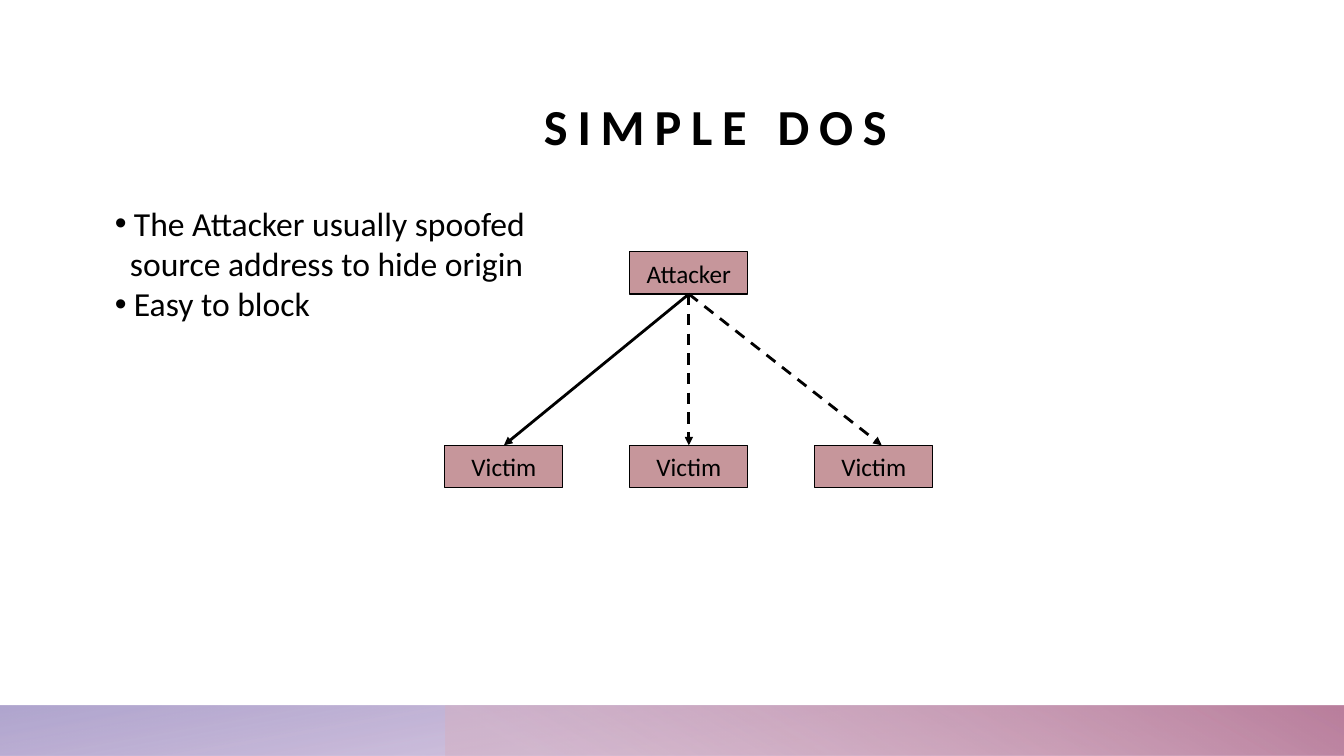
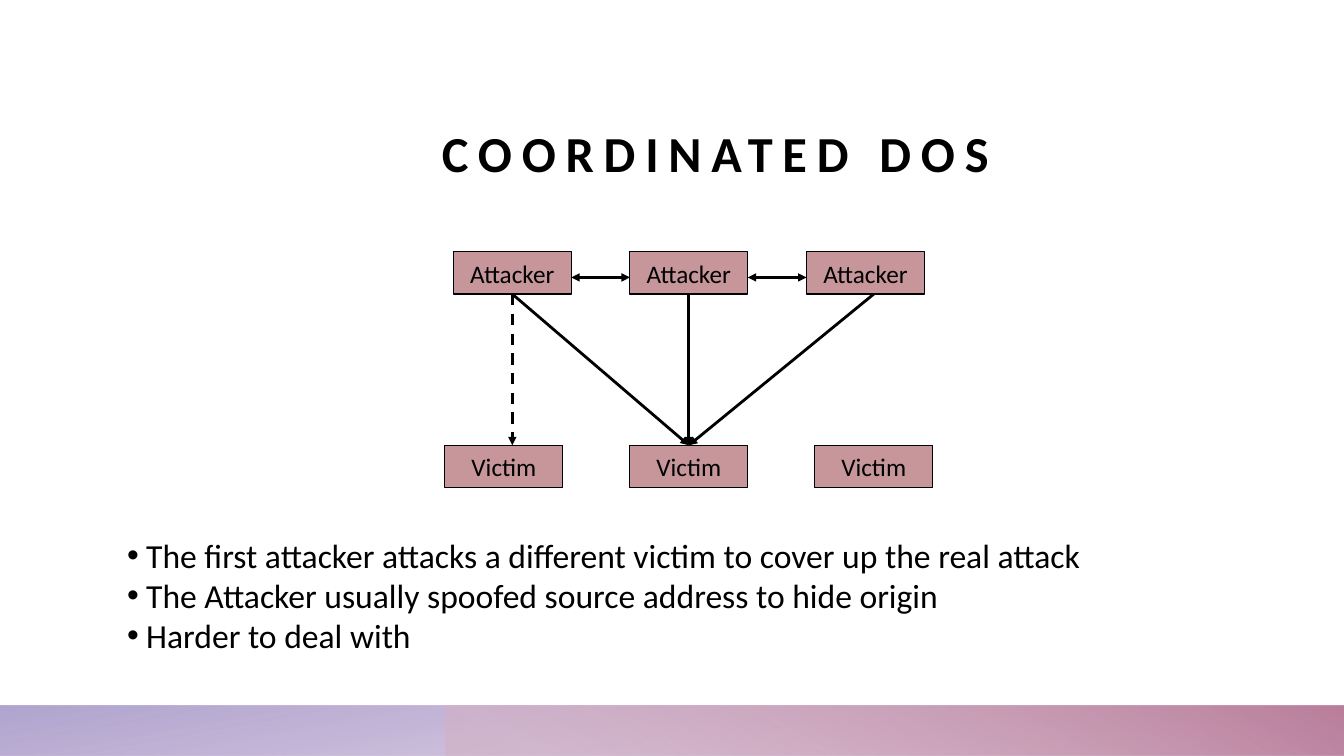
from dataclasses import dataclass
from typing import NamedTuple

from lxml.etree import SubElement
from pptx import Presentation
from pptx.dml.color import RGBColor as Rgb
from pptx.enum.dml import MSO_LINE as Dash
from pptx.enum.shapes import MSO_CONNECTOR as Link, MSO_SHAPE as Form
from pptx.enum.text import MSO_ANCHOR as Anchor, MSO_AUTO_SIZE as Fit, PP_ALIGN as Align
from pptx.oxml.ns import qn
from pptx.util import Cm, Pt


@dataclass(frozen=True)
class Theme:
    font: str = "Calibri"
    ink: str = "000000"
    node: str = "C6969B"
    head: int = 36
    body: int = 24
    label: int = 18
    track: int = 700
    edge: float = 0.75
    stroke: float = 2


class Area(NamedTuple):
    left: float
    top: float
    width: float
    height: float


class Stop(NamedTuple):
    pos: int
    color: str
    alpha: int


class Band(NamedTuple):
    area: Area
    stops: tuple[Stop, ...]
    angle: int
    turn: int = 0


class Line(NamedTuple):
    text: str
    bullet: bool = True
    inset: float = 0.48


class Arrow(NamedTuple):
    start: tuple[float, float]
    end: tuple[float, float]
    dashed: bool = False
    double: bool = False


class Page(NamedTuple):
    title: str
    depth: float
    crew: tuple[float, ...]
    arrows: tuple[Arrow, ...]
    list_area: Area
    lines: tuple[Line, ...]


THEME = Theme()
WIDTH, HEIGHT = 33.87, 19.05
NODE_W, NODE_H = 2.97, 1.06
MID = 17.36
TOP, LOW = 6.35, 11.22
BASE = TOP + NODE_H
CREW = tuple(MID + 4.45 * i for i in (-1, 0, 1))
PREY = tuple(MID + 4.66 * i for i in (-1, 0, 1))
LINK_Y = 6.99

BANDS = (
    Band(Area(0, 17.78, WIDTH, 1.27),
         (Stop(14, "A67FBA", 28), Stop(100, "A296C6", 85)), 100, 180),
    Band(Area(11.22, 17.78, WIDTH - 11.22, 1.27),
         (Stop(9, "D6B2C4", 55), Stop(99, "BA7F9D", 100)), 240),
)

PAGES = (
    Page(
        "SIMPLE DOS", 1.7, (MID,),
        (Arrow((MID, BASE), (PREY[0], LOW)),
         Arrow((MID, BASE), (MID, LOW), dashed=True),
         Arrow((MID, BASE), (22.22, LOW), dashed=True)),
        Area(2.64, 4.98, 12.37, 3.33),
        (Line("The Attacker usually spoofed"),
         Line("source address to hide origin", False, 0.38),
         Line("Easy to block")),
    ),
    Page(
        "COORDINATED DOS", 2.39, CREW,
        (Arrow((MID, BASE), (MID, LOW)),
         *(Arrow((a + NODE_W / 2, LINK_Y), (b - NODE_W / 2, LINK_Y), double=True)
           for a, b in zip(CREW, CREW[1:])),
         Arrow((CREW[0], BASE), (MID, LOW)),
         Arrow((PREY[2], BASE), (MID, LOW)),
         Arrow((CREW[0], BASE), (CREW[0], LOW), dashed=True)),
        Area(2.95, 13.34, 29.77, 3.33),
        (Line("The first attacker attacks a different victim to cover up the real attack"),
         Line("The Attacker usually spoofed source address to hide origin"),
         Line("Harder to deal with")),
    ),
)


def place(shape, area: Area) -> None:
    shape.left, shape.top, shape.width, shape.height = map(Cm, area)


def mark(para, line: Line) -> None:
    props = para._p.get_or_add_pPr()
    inset = Cm(line.inset)
    props.set("marL", str(inset))
    props.set("indent", str(-inset if line.bullet else 0))
    if line.bullet:
        SubElement(props, qn("a:buFont"), typeface="Arial")
        SubElement(props, qn("a:buChar"), char="•")
    else:
        SubElement(props, qn("a:buNone"))


def write(frame, lines: tuple[Line, ...], *, size: int, bold: bool = False,
          align=Align.CENTER, anchor=Anchor.MIDDLE, wrap: bool = True,
          track: int = 0, listed: bool = False) -> None:
    frame.auto_size = Fit.NONE
    frame.word_wrap = wrap
    frame.vertical_anchor = anchor
    for i, line in enumerate(lines):
        para = frame.add_paragraph() if i else frame.paragraphs[0]
        para.alignment = align
        para.space_before = Pt(0)
        if listed:
            mark(para, line)
        run = para.add_run()
        run.text = line.text
        font = run.font
        font.name, font.size, font.bold = THEME.font, Pt(size), bold
        font.color.rgb = Rgb.from_string(THEME.ink)
        if track:
            run._r.get_or_add_rPr().set("spc", str(track))


def add_band(slide, band: Band):
    shape = slide.shapes.add_shape(Form.RECTANGLE, *map(Cm, band.area))
    shape.shadow.inherit = False
    shape.line.fill.background()
    shape.rotation = band.turn
    props = shape._element.spPr
    props.find(qn("a:xfrm")).set("flipH", "1")
    fill = SubElement(props, qn("a:gradFill"), rotWithShape="1")
    props.find(qn("a:prstGeom")).addnext(fill)
    stops = SubElement(fill, qn("a:gsLst"))
    for stop in band.stops:
        node = SubElement(stops, qn("a:gs"), pos=str(stop.pos * 1000))
        color = SubElement(node, qn("a:srgbClr"), val=stop.color)
        SubElement(color, qn("a:alpha"), val=str(stop.alpha * 1000))
    SubElement(fill, qn("a:lin"), ang=str(band.angle * 60000), scaled="0")
    return shape


def share_bands(slide) -> None:
    tree = slide.slide_layout.shapes.element
    for i, band in enumerate(BANDS):
        tree.insert(2 + i, add_band(slide, band)._element)


def add_node(slide, text: str, mid: float, top: float) -> None:
    area = Area(mid - NODE_W / 2, top, NODE_W, NODE_H)
    shape = slide.shapes.add_shape(Form.RECTANGLE, *map(Cm, area))
    shape.shadow.inherit = False
    shape.fill.solid()
    shape.fill.fore_color.rgb = Rgb.from_string(THEME.node)
    shape.line.color.rgb = Rgb.from_string(THEME.ink)
    shape.line.width = Pt(THEME.edge)
    write(shape.text_frame, (Line(text),), size=THEME.label, wrap=False)


def add_arrow(slide, arrow: Arrow) -> None:
    link = slide.shapes.add_connector(
        Link.STRAIGHT, *map(Cm, (*arrow.start, *arrow.end)))
    link.line.color.rgb = Rgb.from_string(THEME.ink)
    link.line.width = Pt(THEME.stroke)
    if arrow.dashed:
        link.line.dash_style = Dash.DASH
    stroke = link.line._get_or_add_ln()
    if arrow.double:
        SubElement(stroke, qn("a:headEnd"), type="triangle")
    SubElement(stroke, qn("a:tailEnd"), type="triangle")
    SubElement(link._element.spPr, qn("a:effectLst"))


def fill_page(slide, page: Page) -> None:
    title, body = slide.shapes.title, slide.placeholders[1]
    place(title, Area(3.81, 2.21, 28.45, page.depth))
    frame = title.text_frame
    frame.margin_left = frame.margin_right = frame.margin_top = frame.margin_bottom = 0
    write(frame, (Line(page.title),), size=THEME.head, bold=True,
          anchor=Anchor.BOTTOM, track=THEME.track)
    place(body, page.list_area)
    write(body.text_frame, page.lines, size=THEME.body, align=Align.LEFT,
          anchor=Anchor.TOP, listed=True)
    for mid in page.crew:
        add_node(slide, "Attacker", mid, TOP)
    for mid in PREY:
        add_node(slide, "Victim", mid, LOW)
    for arrow in page.arrows:
        add_arrow(slide, arrow)


def main() -> None:
    deck = Presentation()
    deck.slide_width, deck.slide_height = Cm(WIDTH), Cm(HEIGHT)
    slides = [deck.slides.add_slide(deck.slide_layouts[1]) for _ in PAGES]
    share_bands(slides[0])
    for slide, page in zip(slides, PAGES):
        fill_page(slide, page)
    deck.save("out.pptx")


if __name__ == "__main__":
    main()
